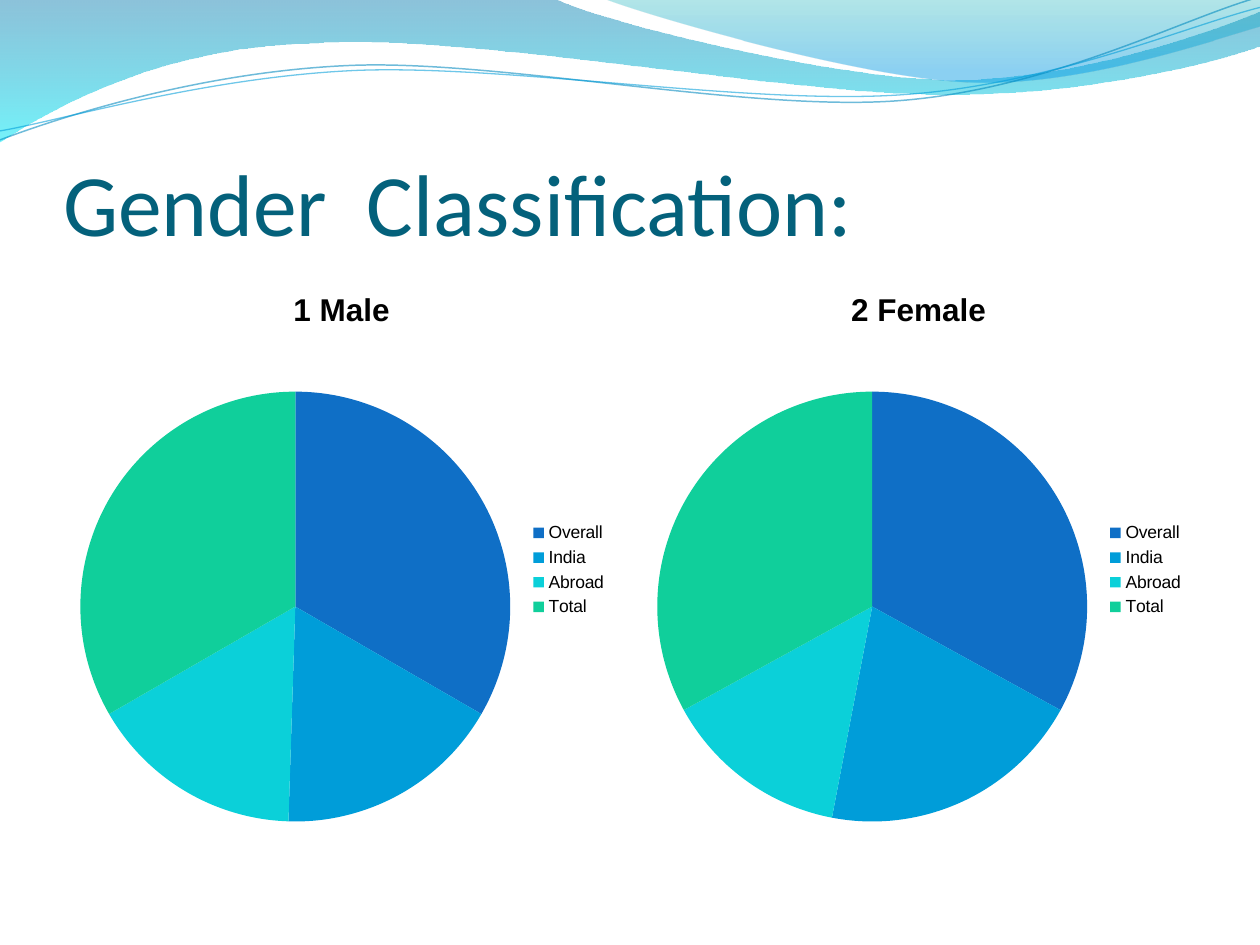
from math import cos, radians, sin

from lxml.etree import SubElement
from pptx import Presentation
from pptx.chart.data import CategoryChartData
from pptx.dml.color import RGBColor
from pptx.enum.chart import XL_CHART_TYPE, XL_LEGEND_POSITION
from pptx.enum.text import MSO_ANCHOR, PP_ALIGN
from pptx.oxml.ns import qn
from pptx.util import Cm, Pt

COLORS = {
    "title": "04617B", "text": "000000",
    "Overall": "0F6FC6", "India": "009DD9", "Abroad": "0BD0D9", "Total": "10CF9B",
    "steel": "0079AD", "aqua": "00E9F7", "teal": "00ABB4", "sky": "0099E4",
    "deep": "0089BE", "light": "009DD9",
}
TITLE = "Gender  Classification:"
GROUPS = ["Overall", "India", "Abroad", "Total"]
SERIES = [[33, 17, 16, 33], [33, 20, 14, 33], [33, 18, 15, 33],
          [33, 20, 14, 33], [33, 18, 15, 33]]
# Title, number of series, index of the series that the pie shows
PIES = [("1 Male", 3, 0), ("2 Female", 5, 1)]

# Outlines in cm: a pair is a straight step, six numbers are a Bezier curve.
# Gradient stops are (position, colour, opacity in percent).
BANDS = [
    ([(0, 0), (11.18, -0.03), (12.09, 0.43, 16.87, 1.6, 19.25, 1.6),
      (21.67, 1.6, 24.33, 0.66, 25.4, 0.23), (25.43, 0.91),
      (24.97, 1.12, 22.1, 1.93, 18.95, 1.9), (15.8, 1.9, 9.7, 0.71, 6.53, 0.86),
      (3.28, 0.91, 1.17, 2.11, -0.03, 2.87), (0, 0)],
     [(0, "steel", 45), (1, "aqua", 55)]),
    ([(12.17, -0.03), (12.93, 0.28, 17.32, 1.57, 19.53, 1.65),
      (21.74, 1.75, 24.41, 0.81, 25.4, 0.53), (25.4, 0), (12.17, -0.03)],
     [(0, "teal", 30), (0.8, "sky", 45)]),
]
# Outline, middle, colour, width
WAVES = [
    ([(0, 2.82), (1.22, 2.36, 4.01, 1.45, 7.04, 1.32),
      (10.03, 1.19, 15.06, 2.26, 18.11, 2.03), (21.16, 1.8, 23.83, 0.38, 25.35, -0.05)],
     (12.67, 1.46), "deep", 0.85),
    ([(0, 2.64), (1.19, 2.44, 4.17, 1.55, 7.19, 1.42),
      (10.24, 1.3, 15.16, 2.13, 18.21, 1.91), (21.23, 1.7, 23.9, 0.53, 25.4, 0.15)],
     (12.69, 1.5), "light", 0.75),
]
WAVE_ALPHA = 56
TILT = -2.7


def rgb(name):
    return RGBColor.from_string(COLORS[name])


def style(font, face, size, color, bold=False):
    font.name, font.size, font.bold = face, Pt(size), bold
    font.color.rgb = rgb(color)


def write(frame, text, align=None, **look):
    para = frame.paragraphs[0]
    para.alignment = align
    run = para.add_run()
    run.text = text
    style(run.font, **look)


def fade(node, percent):
    """Give the colour inside an XML node an opacity."""
    color = next(node.iter(qn("a:srgbClr")))
    SubElement(color, qn("a:alpha"), val=str(percent * 1000))


def pairs(step):
    return list(zip(step[::2], step[1::2]))


def level(step, middle):
    """Turn the points of a step back by the tilt, around the middle."""
    (mx, my), turn = middle, radians(-TILT)
    flat = []
    for x, y in pairs(step):
        dx, dy = x - mx, y - my
        flat += [mx + dx * cos(turn) - dy * sin(turn),
                 my + dx * sin(turn) + dy * cos(turn)]
    return flat


def draw(slide, outline, close):
    """Build a freeform, then join each three points of a curve into one."""
    start, *rest = [(Cm(x), Cm(y)) for step in outline for x, y in pairs(step)]
    pen = slide.shapes.build_freeform(*start)
    pen.add_line_segments(rest, close=close)
    shape = pen.convert_to_shape()
    shape.shadow.inherit = False
    lines = iter(list(shape._element.iter(qn("a:lnTo"))))
    for step in outline[1:]:
        nodes = [next(lines) for _ in pairs(step)]
        if len(nodes) == 3:
            curve = nodes[0]
            curve.tag = qn("a:cubicBezTo")
            for node in nodes[1:]:
                curve.append(node[0])
                node.getparent().remove(node)
    return shape


def add_band(slide, outline, stops):
    shape = draw(slide, outline, True)
    shape.line.fill.background()
    shape.fill.gradient()
    shape.fill.gradient_angle = 270
    nodes = shape._element.spPr.iter(qn("a:gs"))
    for stop, node, (place, color, alpha) in zip(
            shape.fill.gradient_stops, nodes, stops):
        stop.position = place
        stop.color.rgb = rgb(color)
        fade(node, alpha)


def add_wave(slide, outline, middle, color, width):
    shape = draw(slide, [level(step, middle) for step in outline], False)
    shape.rotation = TILT
    shape.fill.background()
    shape.line.width = Pt(width)
    shape.line.color.rgb = rgb(color)
    fade(shape.line._ln, WAVE_ALPHA)


def add_title(slide):
    title = slide.shapes.title
    slide.shapes._spTree.append(title._element)  # in front of the waves
    title.left, title.top, title.width, title.height = (
        Cm(1.27), Cm(1.96), Cm(22.86), Cm(3.17))
    frame = title.text_frame
    frame.vertical_anchor = MSO_ANCHOR.BOTTOM
    frame.margin_left = frame.margin_right = frame.margin_bottom = 0
    frame.margin_top = Cm(0.13)
    write(frame, TITLE, align=PP_ALIGN.LEFT, face="Calibri", size=50, color="title")


def add_pie(slide, left, name, count, shown):
    data = CategoryChartData()
    data.categories = GROUPS
    for i, values in enumerate(SERIES[:count], 1):
        data.add_series(f"Series {i}", values)
    chart = slide.shapes.add_chart(
        XL_CHART_TYPE.PIE, Cm(left), Cm(5.33), Cm(11.23), Cm(12.32), data).chart
    chart.replace_data(data)  # a new pie takes only the first series
    style(chart.font, "Arial", 10, "text")
    chart.has_title = True
    write(chart.chart_title.text_frame, name,
          face="Arial", size=18, color="text", bold=True)
    chart.chart_title.include_in_layout = False
    chart.has_legend = True
    chart.legend.position = XL_LEGEND_POSITION.RIGHT
    chart.legend.include_in_layout = False
    plot = chart.plots[0]
    plot.vary_by_categories = True
    rows = list(plot.series)
    for row in rows:
        for i, group in enumerate(GROUPS):
            fill = row.points[i].format.fill
            fill.solid()
            fill.fore_color.rgb = rgb(group)
    if shown:  # the pie draws the series that comes first in the XML
        rows[0]._element.addprevious(rows[shown]._element)


def main():
    deck = Presentation()
    deck.slide_width, deck.slide_height = Cm(25.4), Cm(19.05)
    slide = deck.slides.add_slide(deck.slide_layouts[5])
    for band in BANDS:
        add_band(slide, *band)
    for wave in WAVES:
        add_wave(slide, *wave)
    add_title(slide)
    for i, pie in enumerate(PIES):
        add_pie(slide, 1.27 + i * 11.63, *pie)
    deck.save("out.pptx")


if __name__ == "__main__":
    main()
